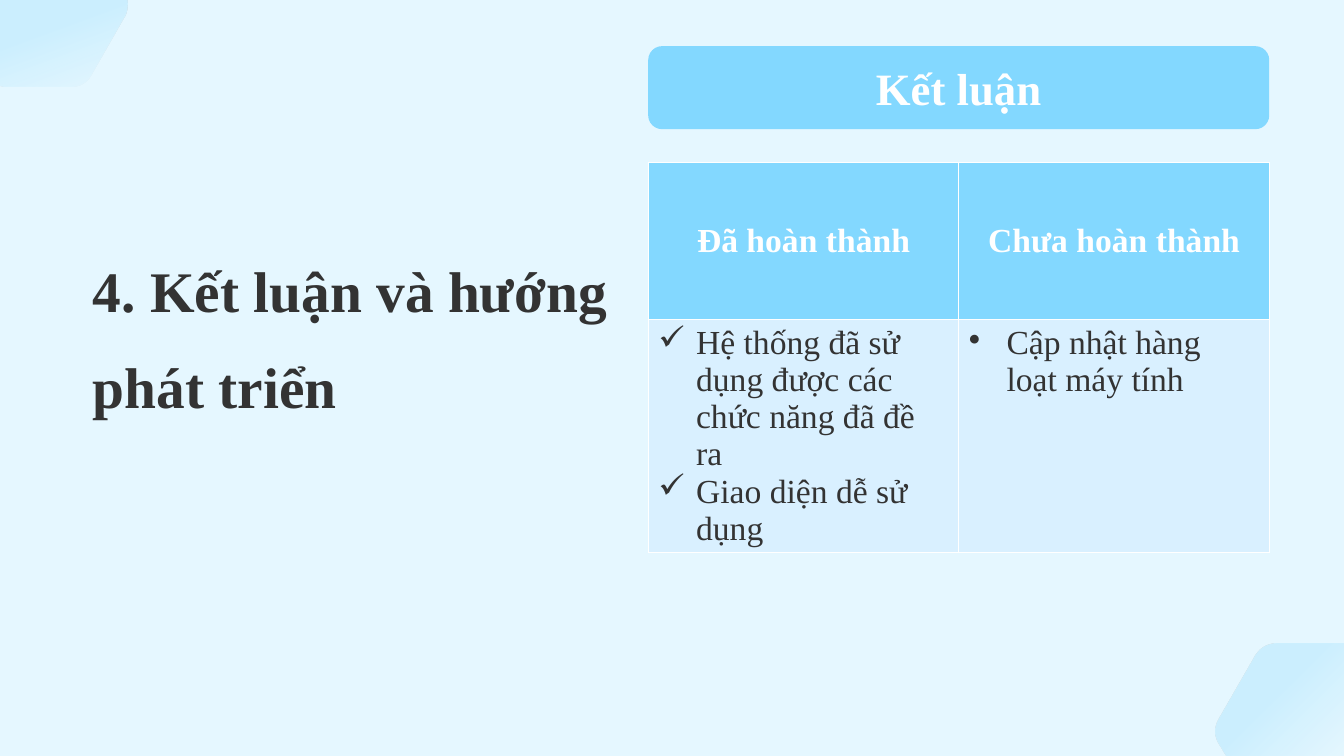
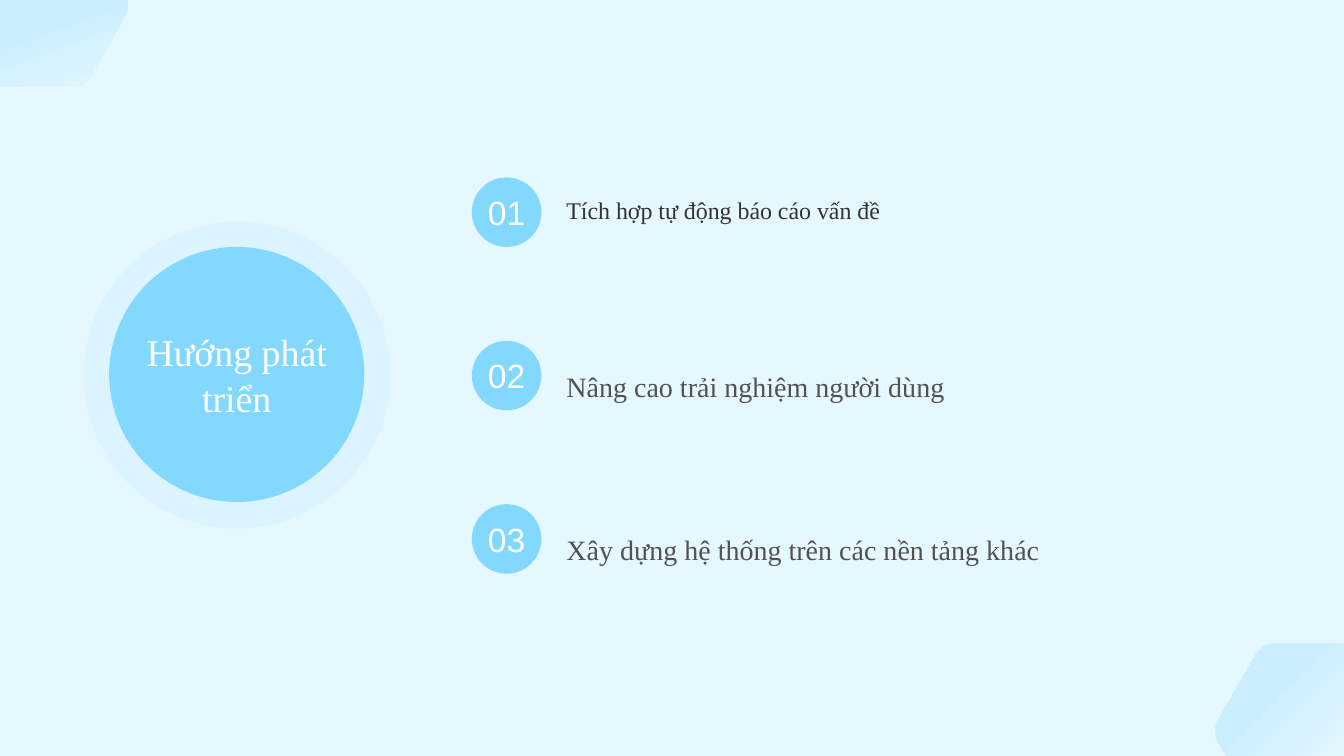
from pptx import Presentation
from pptx.dml.color import RGBColor
from pptx.enum.shapes import MSO_SHAPE
from pptx.enum.text import MSO_ANCHOR, MSO_AUTO_SIZE, PP_ALIGN
from pptx.oxml.ns import qn
from pptx.oxml.xmlchemy import OxmlElement
from pptx.util import Pt

rgb = RGBColor.from_string
SERIF, SANS = "Times New Roman", "Arial"
SKY, ICE, HALO, PALE = "83D8FF", "E5F7FF", "B5E8FF", "D9F0FF"
DARK, GREY, WHITE = "333333", "525252", "FFFFFF"


def write(frame, text, size, color=DARK, font=SERIF, bold=False, align=PP_ALIGN.LEFT,
          anchor=None, spacing=None, inset=None, wrap=True, bullet=None):
    frame.word_wrap = wrap
    frame.auto_size = MSO_AUTO_SIZE.NONE
    if anchor is not None:
        frame.vertical_anchor = anchor
    if inset is not None:
        frame.margin_left = frame.margin_right = Pt(inset)
        frame.margin_top = frame.margin_bottom = Pt(inset)
    for number, line in enumerate(text.split("\n")):
        paragraph = frame.add_paragraph() if number else frame.paragraphs[0]
        paragraph.alignment = align
        paragraph.line_spacing = spacing
        run = paragraph.add_run()
        run.text = line
        run.font.size = Pt(size)
        run.font.name = font
        run.font.bold = bold
        run.font.color.rgb = rgb(color)
        if bullet:
            properties = paragraph._p.get_or_add_pPr()
            properties.set("marL", str(Pt(27)))
            properties.set("indent", str(-Pt(27)))
            mark = OxmlElement("a:buChar")
            mark.set("char", bullet)
            properties.append(mark)


def paint(shape, color, *opacities, angle=None):
    shape.shadow.inherit = False
    shape.line.fill.background()
    if angle is None:
        shape.fill.solid()
        shape.fill.fore_color.rgb = rgb(color)
    else:
        shape.fill.gradient()
        shape.fill.gradient_angle = angle
        for stop in shape.fill.gradient_stops:
            stop.color.rgb = rgb(color)
    tints = shape.element.spPr.iter(qn("a:srgbClr"))
    for tint, opacity in zip(tints, opacities):
        alpha = OxmlElement("a:alpha")
        alpha.set("val", str(opacity * 1000))
        tint.append(alpha)


prs = Presentation()
prs.slide_width, prs.slide_height = Pt(960), Pt(540)
master = prs.slide_master
master.background.fill.solid()
master.background.fill.fore_color.rgb = rgb(ICE)
title_only = prs.slide_layouts[5]
conclusion = prs.slides.add_slide(title_only)
outlook = prs.slides.add_slide(title_only)

corners = [
    ([[(912.2, 459.4)], [(960, 459.4)], [(960, 540)], [(876.2, 540)], [(870.5, 530.6)],
      [(867.6, 525.6), (867.6, 519.1), (870.5, 514.1)], [(897.1, 467.3)],
      [(900.7, 462.2), (905.8, 459.4), (912.2, 459.4)]], 315, (47, 100), (25, 0)),
    ([[(0, 0)], [(90.7, 0)], [(91.4, 4.3), (90.7, 8.6), (89.3, 11.5)], [(64.8, 54)],
      [(61.9, 59), (56.9, 61.9), (51.1, 61.9)], [(2.9, 61.9)], [(0, 61.2)]],
     110, (0, 63), (0, 25)),
]
for number, (outline, angle, positions, opacities) in enumerate(corners):
    points = []
    for segment in outline:
        if len(segment) == 1:
            points += segment
            continue
        controls = [points[-1]] + segment
        for step in range(1, 9):
            t = step / 8
            weights = ((1 - t) ** 3, 3 * t * (1 - t) ** 2, 3 * t * t * (1 - t), t ** 3)
            points.append(tuple(sum(w * c[axis] for w, c in zip(weights, controls))
                                for axis in (0, 1)))
    points = [(Pt(x), Pt(y)) for x, y in points]
    builder = conclusion.shapes.build_freeform(*points[0])
    builder.add_line_segments(points[1:], close=True)
    corner = builder.convert_to_shape()
    paint(corner, SKY, *opacities, angle=angle)
    for stop, position in zip(corner.fill.gradient_stops, positions):
        stop.position = position / 100
    corner.element.nvSpPr.cNvPr.set("id", str(20 + number))
    master.shapes.element.insert(2 + number, corner.element)

heading = conclusion.shapes.title
heading.left, heading.top, heading.width, heading.height = Pt(59), Pt(159), Pt(412.6), Pt(72)
write(heading.text_frame, "4. Kết luận và hướng phát triển", 41, bold=True,
      anchor=MSO_ANCHOR.TOP, spacing=1.4)

banner = conclusion.shapes.add_shape(MSO_SHAPE.ROUNDED_RECTANGLE,
                                     Pt(463), Pt(33), Pt(443.6), Pt(59.3))
paint(banner, SKY)
write(banner.text_frame, "Kết luận", 32, WHITE, bold=True, align=PP_ALIGN.CENTER,
      anchor=MSO_ANCHOR.MIDDLE, inset=0)

status = conclusion.shapes.add_table(2, 2, Pt(463), Pt(116), Pt(443.6), Pt(224.6)).table
columns = [
    ("Đã hoàn thành", "✓", "Hệ thống đã sử dụng được các chức năng đã đề ra\nGiao diện dễ sử dụng"),
    ("Chưa hoàn thành", "•", "Cập nhật hàng loạt máy tính"),
]
for column, (label, bullet, items) in enumerate(columns):
    header, body = status.cell(0, column), status.cell(1, column)
    for cell, color in ((header, SKY), (body, PALE)):
        cell.fill.solid()
        cell.fill.fore_color.rgb = rgb(color)
    header.vertical_anchor = MSO_ANCHOR.MIDDLE
    write(header.text_frame, label, 24, WHITE, bold=True, align=PP_ALIGN.CENTER)
    write(body.text_frame, items, 24, bullet=bullet)

for left, top, diameter, color, opacity in ((59.8, 158.4, 219, HALO, 20),
                                            (78, 176.4, 182.2, SKY, 100)):
    ring = outlook.shapes.add_shape(MSO_SHAPE.OVAL, Pt(left), Pt(top), Pt(diameter), Pt(diameter))
    paint(ring, color, opacity)

topic = outlook.shapes.title
topic.left, topic.top, topic.width, topic.height = ring.left, ring.top, ring.width, ring.height
outlook.shapes.element.append(topic.element)
write(topic.text_frame, "Hướng phát triển", 27, WHITE, align=PP_ALIGN.CENTER,
      anchor=MSO_ANCHOR.MIDDLE, inset=0)

goals = [
    ("Tích hợp tự động báo cáo vấn đề", 17.1, DARK, 11),
    ("Nâng cao trải nghiệm người dùng", 20, GREY, 2.9),
    ("Xây dựng hệ thống trên các nền tảng khác", 20, GREY, 2.9),
]
for number, (goal, size, color, lift) in enumerate(goals):
    top = 126.7 + 116.7 * number
    badge = outlook.shapes.add_shape(MSO_SHAPE.OVAL, Pt(337), Pt(top), Pt(49.7), Pt(49.7))
    paint(badge, SKY)
    write(badge.text_frame, f"{number + 1:02}", 24, WHITE, font=SANS, align=PP_ALIGN.CENTER,
          anchor=MSO_ANCHOR.MIDDLE, inset=0, wrap=False)
    caption = outlook.shapes.add_textbox(Pt(404.6), Pt(top - lift), Pt(496), Pt(58.3))
    write(caption.text_frame, goal, size, color, anchor=MSO_ANCHOR.MIDDLE, spacing=1.5, inset=0)

prs.save("out.pptx")
